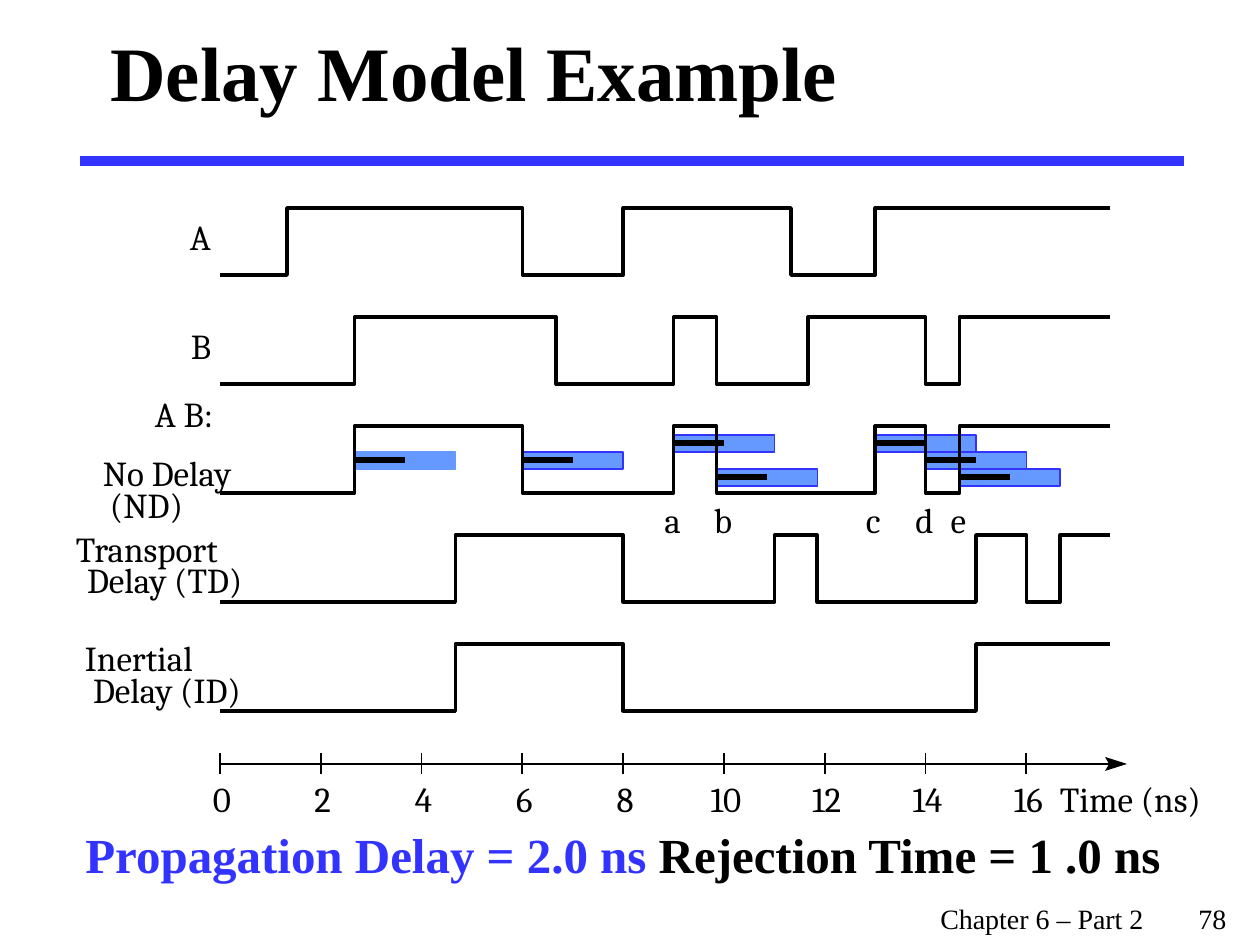
from dataclasses import dataclass

from lxml import etree
from pptx import Presentation
from pptx.dml.color import RGBColor
from pptx.enum.shapes import MSO_CONNECTOR, MSO_SHAPE
from pptx.enum.text import MSO_ANCHOR, MSO_AUTO_SIZE, PP_ALIGN
from pptx.oxml.ns import qn
from pptx.util import Pt

STRAIGHT = MSO_CONNECTOR.STRAIGHT
RECT = MSO_SHAPE.RECTANGLE
MIDDLE, TOP = MSO_ANCHOR.MIDDLE, MSO_ANCHOR.TOP
FIT = MSO_AUTO_SIZE.SHAPE_TO_FIT_TEXT
LEFT, CENTER = PP_ALIGN.LEFT, PP_ALIGN.CENTER

SCALE = 914400 / 126  # EMU in one px
NS = 50.4             # px in one nanosecond
END = 17.66           # last time drawn, ns
DELAY, REJECT = 2, 1  # ns
HIGH = 67             # height of a wave


@dataclass(frozen=True)
class Theme:
    ink: RGBColor = RGBColor(0, 0, 0)
    blue: RGBColor = RGBColor(0x33, 0x33, 0xFF)
    sky: RGBColor = RGBColor(0x66, 0x99, 0xFF)
    serif: str = "Times New Roman"
    label: str = "Cambria"
    title: int = 44
    note: int = 28
    small: int = 20
    foot: int = 16


THEME = Theme()


def emu(px):
    return round(px * SCALE)


def line(slide, x1, y1, x2, y2, width, color=THEME.ink):
    part = slide.shapes.add_connector(STRAIGHT, *map(emu, (x1, y1, x2, y2)))
    part.line.color.rgb = color
    part.line.width = Pt(width)
    etree.SubElement(part._element.spPr, qn("a:effectLst"))


def outline(slide, points, close):
    (x, y), *rest = [(emu(x), emu(y)) for x, y in points]
    pen = slide.shapes.build_freeform(x, y)
    pen.add_line_segments(rest, close=close)
    part = pen.convert_to_shape()
    part.shadow.inherit = False
    return part


def text(slide, box, runs, size, face=THEME.serif, bold=False, anchor=TOP, tab=None):
    """Write one wrapped paragraph of (words, colour) runs."""
    frame = slide.shapes.add_textbox(*map(emu, box)).text_frame
    frame.word_wrap = True
    frame.vertical_anchor = anchor
    para = frame.paragraphs[0]
    if tab:
        stops = etree.SubElement(para._p.get_or_add_pPr(), qn("a:tabLst"))
        etree.SubElement(stops, qn("a:tab"), pos=str(emu(tab)), algn="l")
    for words, color in runs:
        run = para.add_run()
        run.text = words
        run.font.color.rgb = color
    para.font.size, para.font.name, para.font.bold = Pt(size), face, bold
    return frame


def label(slide, x, y, width, words, align=LEFT):
    """Write a tight one-line label."""
    frame = text(slide, (x, y, width, 42), [(words, THEME.ink)], THEME.small, THEME.label)
    frame.margin_left = frame.margin_right = frame.margin_top = frame.margin_bottom = 0
    frame.word_wrap = False
    frame.auto_size = FIT
    frame.paragraphs[0].alignment = align


def wave(slide, left, top, edges):
    """Draw a signal that starts low and flips at each edge."""
    level = top + HIGH
    points = [(left, level)]
    for time in edges:
        x = left + time * NS
        points.append((x, level))
        level = 2 * top + HIGH - level
        points.append((x, level))
    points.append((left + END * NS, level))
    part = outline(slide, points, close=False)
    part.fill.background()
    part.line.color.rgb = THEME.ink
    part.line.width = Pt(2)


def bars(slide, left, top, marks):
    """Draw the delay and rejection spans of (edge, row, border) marks."""
    for time, row, edge in marks:
        x, y = left + time * NS, top + 9 + 17 * row
        part = slide.shapes.add_shape(RECT, *map(emu, (x, y, DELAY * NS, 17)))
        part.shadow.inherit = False
        part.fill.solid()
        part.fill.fore_color.rgb = THEME.sky
        part.line.color.rgb = edge
        part.line.width = Pt(0.75)
        line(slide, x + 1, y + 8, x + REJECT * NS, y + 8, 3)


def axis(slide, left, y):
    tip = left + END * NS
    line(slide, left, y, tip, y, 1)
    # Arrowhead
    head = outline(slide, [(tip + dx, y + dy) for dx, dy in
                           ((-1, 0), (-5, -7), (17, 0), (-5, 7))], close=True)
    head.fill.solid()
    head.fill.fore_color.rgb = THEME.ink
    head.line.fill.background()
    # Ticks and their numbers
    for time in range(0, 17, 2):
        x = left + time * NS
        line(slide, x, y + 10, x, y - 11, 1)
        label(slide, x - 18, y + 13, 40, str(time), CENTER)
    label(slide, left + 840, y + 13, 150, "Time (ns)")


def chart(slide, left, top):
    """Draw the timing diagram with its time zero at left."""
    pitch = 109
    plain = [2.67, 6, 9, 9.85, 13, 14, 14.67]
    waves = [
        [1.33, 6, 8, 11.33, 13],
        [2.67, 6.67, 9, 9.85, 11.67, 14, 14.67],
        plain,
        [time + DELAY for time in plain],
        [4.67, 8, 15],
    ]
    # Names as (offset from time zero, offset from wave top, width, words)
    names = [
        [(-30, 7, 23, "A")],
        [(-29, 7, 23, "B")],
        [(-65, -34, 64, "A B:"), (-117, 25, 149, "No Delay"), (-110, 57, 73, "(ND)")],
        [(-144, -8, 163, "Transport"), (-133, 23, 168, "Delay (TD)")],
        [(-135, -8, 118, "Inertial"), (-127, 24, 160, "Delay (ID)")],
    ]
    third = top + 2 * pitch
    blue, sky = THEME.blue, THEME.sky
    bars(slide, left, third, [(6, 1, blue), (14, 1, blue), (13, 0, blue), (9.85, 2, blue),
                              (9, 0, blue), (14.67, 2, blue), (2.67, 1, sky)])
    for row, (edges, group) in enumerate(zip(waves, names)):
        y = top + row * pitch
        wave(slide, left, y, edges)
        for dx, dy, width, words in group:
            label(slide, left + dx, y + dy, width, words)
    # Edge letters
    for letter, time in zip("abcde", (9, 10, 12.98, 14, 14.67)):
        label(slide, left + time * NS - 11, third + 72, 20, letter, CENTER)
    axis(slide, left, top + 556)


def main():
    deck = Presentation()
    deck.slide_width, deck.slide_height = emu(1260), emu(945)
    slide = deck.slides.add_slide(deck.slide_layouts[6])
    ink = THEME.ink
    # Heading
    line(slide, 80, 161, 1184, 161, 6, THEME.blue)
    text(slide, (98, 0, 1071, 141), [("Delay Model Example", ink)],
         THEME.title, bold=True, anchor=MIDDLE)
    # Diagram
    chart(slide, 220, 208)
    # Summary and footer
    text(slide, (73, 818, 1131, 72), [("Propagation Delay = 2.0 ns", THEME.blue),
                                      (" Rejection Time = 1 .0 ns", ink)],
         THEME.note, bold=True)
    text(slide, (928, 895, 328, 47), [("Chapter 6 – Part 2\t78", ink)], THEME.foot, tab=258)
    deck.save("out.pptx")


if __name__ == "__main__":
    main()
